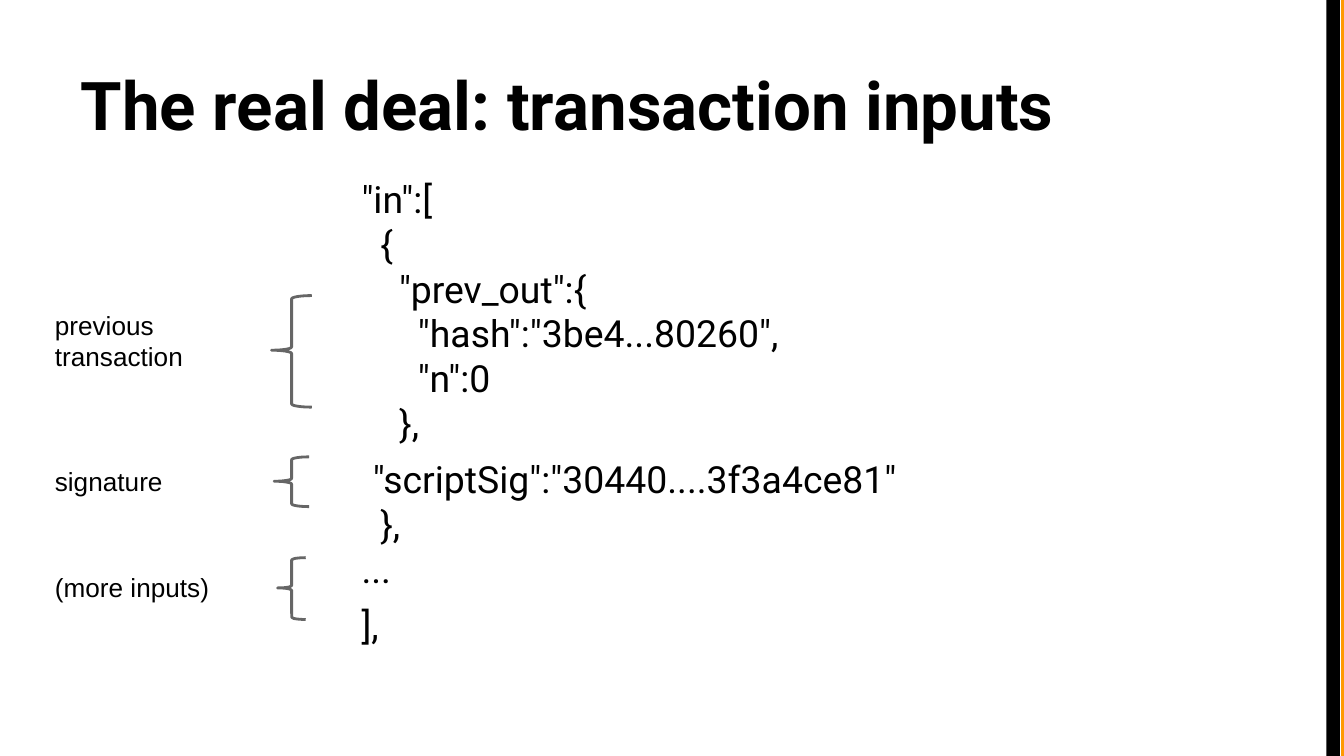
from lxml.etree import SubElement
from pptx import Presentation
from pptx.dml.color import RGBColor
from pptx.enum.shapes import MSO_SHAPE
from pptx.enum.text import MSO_ANCHOR, MSO_AUTO_SIZE, PP_ALIGN
from pptx.oxml.ns import qn
from pptx.util import Inches, Pt

BLACK = RGBColor(0x00, 0x00, 0x00)
ORANGE = RGBColor(0xFF, 0x99, 0x00)
GRAY = RGBColor(0x66, 0x66, 0x66)

WIDTH = 10
HEIGHT = WIDTH * 9 / 16
TITLE = "The real deal: transaction inputs"
CODE = [
    (0, 0, '"in":['),
    (1, 0, "{"),
    (2, 0, '"prev_out":{'),
    (3, 0, '"hash":"3be4...80260",'),
    (3, 0, '"n":0'),
    (2, 0, "},"),
    (0.6, 6, '"scriptSig":"30440....3f3a4ce81"'),
    (1, 0, "},"),
    (0, 0, "..."),
    (0, 6, "],"),
]
NOTES = [
    (["previous", "transaction"], (2.2, 1.28, 0.63), (2.2, 0.3, 0.83)),
    (["signature"], (3.36, 1.28, 0.46), (3.4, 0.26, 0.37)),
    (["(more inputs)"], (4.15, 1.45, 0.57), (4.15, 0.21, 0.46)),
]
STRIPS = [(9.98, ORANGE), (9.87, BLACK)]
STRIP_WIDTH = 0.1
NOTE_LEFT = 0.31
BRACE_CENTER = 2.17
CODE_LEFT, CODE_STEP = 0.41, 0.14

TITLE_FONT = {"name": "Roboto", "size": Pt(36), "bold": True}
CODE_FONT = {"name": "Roboto", "size": Pt(20), "bold": False}
NOTE_FONT = {"name": "Arial", "size": Pt(14), "bold": False}
FRAME = {
    "word_wrap": True,
    "auto_size": MSO_AUTO_SIZE.NONE,
    "margin_left": Inches(0.1),
    "margin_right": Inches(0.1),
    "margin_top": Inches(0.1),
    "margin_bottom": Inches(0.1),
}


def set_all(target, values):
    for name, value in values.items():
        setattr(target, name, value)


def place(shape, left, top, width, height):
    box = {"left": left, "top": top, "width": width, "height": height}
    set_all(shape, {name: Inches(value) for name, value in box.items()})


def write(shape, lines, font, anchor=MSO_ANCHOR.TOP):
    frame = shape.text_frame
    set_all(frame, {**FRAME, "vertical_anchor": anchor})
    frame.text = "\n".join(lines)
    for paragraph in frame.paragraphs:
        set_all(paragraph, {"alignment": PP_ALIGN.LEFT, "space_before": Pt(0)})
        run = paragraph.runs[0]
        set_all(run.font, font)
        run.font.color.rgb = BLACK
    return frame.paragraphs


def add_strip(slide, left, color):
    shape = slide.shapes.add_shape(
        MSO_SHAPE.RECTANGLE, Inches(left), 0, Inches(STRIP_WIDTH), Inches(HEIGHT))
    shape.shadow.inherit = False
    shape.fill.solid()
    shape.fill.fore_color.rgb = color
    shape.line.fill.background()


def add_code(shape):
    paragraphs = write(shape, [text for _, _, text in CODE], CODE_FONT)
    for paragraph, (depth, gap, _) in zip(paragraphs, CODE):
        paragraph.space_before = Pt(gap)
        properties = paragraph._p.get_or_add_pPr()
        properties.set("marL", str(Inches(CODE_LEFT + depth * CODE_STEP)))
        properties.set("indent", "0")
        SubElement(properties, qn("a:buNone"))


def add_brace(slide, top, width, height):
    shape = slide.shapes.add_shape(
        MSO_SHAPE.LEFT_BRACE, Inches(BRACE_CENTER - width / 2), Inches(top),
        Inches(width), Inches(height))
    shape.shadow.inherit = False
    shape.adjustments[0] = 0.08
    shape.adjustments[1] = 0.49
    shape.fill.background()
    shape.line.color.rgb = GRAY
    shape.line.width = Pt(1.5)


def add_note(slide, lines, top, width, height):
    shape = slide.shapes.add_textbox(
        Inches(NOTE_LEFT), Inches(top), Inches(width), Inches(height))
    write(shape, lines, NOTE_FONT)


def main():
    presentation = Presentation()
    presentation.slide_width = Inches(WIDTH)
    presentation.slide_height = Inches(HEIGHT)
    slide = presentation.slides.add_slide(presentation.slide_layouts[1])
    title, body = slide.placeholders
    for left, color in STRIPS:
        add_strip(slide, left, color)
    place(title, 0.5, 0.23, 9, 0.94)
    write(title, [TITLE], TITLE_FONT, MSO_ANCHOR.BOTTOM)
    place(body, 2.18, 1.21, 9, 4.51)
    add_code(body)
    for lines, label, brace in NOTES:
        add_brace(slide, *brace)
        add_note(slide, lines, *label)
    presentation.save("out.pptx")


if __name__ == "__main__":
    main()
